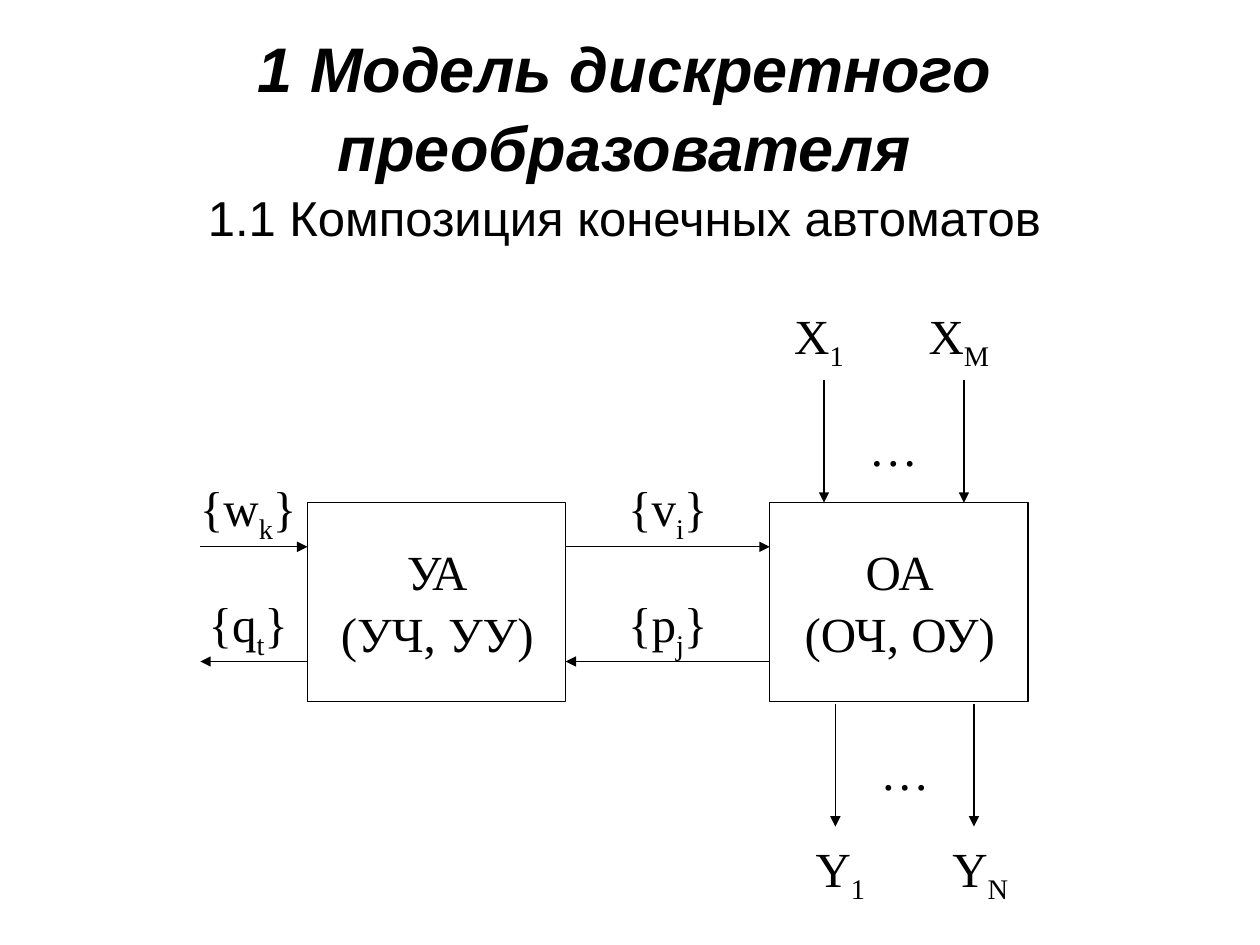
from pptx import Presentation, util as u
from pptx.dml.color import RGBColor
from pptx.enum import shapes, text
from pptx.oxml.ns import qn
from lxml import etree

SERIF = {"name": "Times New Roman", "size": u.Pt(28)}
HEADING = {"name": "Arial", "size": u.Pt(36), "bold": True, "italic": True}
SUBHEADING = {"name": "Arial", "size": u.Pt(28), "bold": False, "italic": False}
MARGINS = {"margin_left": u.Inches(0.1), "margin_right": u.Inches(0.1),
           "margin_top": u.Inches(0.05), "margin_bottom": u.Inches(0.05)}
BLACK = "000000"
BLOCK_TOP, BLOCK_W, BLOCK_H = 3.99, 2.05, 1.58
CONTROL_X, OPERATION_X = 2.44, 6.11
OUTER_X = 1.59
FORWARD_Y, BACK_Y = 4.34, 5.25
LABEL_W, LABEL_H = 1.28, 0.69
ARROW_LEN = 0.97


def color(value):
    """Return the colour for a hex string."""
    return RGBColor.from_string(value)


def apply(target, values):
    """Set each attribute in a dict of format values."""
    for name, value in values.items():
        setattr(target, name, value)


def add_run(p, content, font, subscript=False):
    """Add a black run, lowered when it is a subscript."""
    r = p.add_run()
    r.text = content
    apply(r.font, font)
    r.font.color.rgb = color(BLACK)
    if subscript:
        r.font._element.set("baseline", "-25000")


def center(p):
    """Centre a paragraph and set its line spacing."""
    apply(p, {"alignment": text.PP_ALIGN.CENTER, "line_spacing": 1.05})


def add_title(s, heading, subheading):
    """Fill and place the title placeholder."""
    sp = s.shapes.title
    apply(sp, {"left": u.Inches(0.08), "top": u.Inches(0.08),
               "width": u.Inches(9.75), "height": u.Inches(2)})
    tf = sp.text_frame
    apply(tf, {**MARGINS, "word_wrap": True, "auto_size": text.MSO_AUTO_SIZE.NONE,
               "vertical_anchor": text.MSO_ANCHOR.MIDDLE})
    p = tf.paragraphs[0]
    center(p)
    add_run(p, heading, HEADING)
    p.add_line_break()
    add_run(p, subheading, SUBHEADING)


def add_text(s, x, y, w, h, lines):
    """Add a centred text box; each line lists alternating base and subscript parts."""
    tf = s.shapes.add_textbox(*map(u.Inches, (x, y, w, h))).text_frame
    apply(tf, {**MARGINS, "word_wrap": True,
               "vertical_anchor": text.MSO_ANCHOR.MIDDLE})
    for i, parts in enumerate(lines):
        p = tf.add_paragraph() if i else tf.paragraphs[0]
        center(p)
        for j, part in enumerate(parts):
            add_run(p, part, SERIF, subscript=j % 2 == 1)


def add_label(s, x, y, *parts):
    """Add a signal label."""
    add_text(s, x, y, LABEL_W, LABEL_H, [parts])


def add_block(s, x, name, detail):
    """Add an automaton block with its two-line caption."""
    sp = s.shapes.add_shape(shapes.MSO_SHAPE.RECTANGLE,
                            *map(u.Inches, (x, BLOCK_TOP, BLOCK_W, BLOCK_H)))
    sp.shadow.inherit = False
    sp.fill.background()
    sp.line.color.rgb = color(BLACK)
    sp.line.width = u.Pt(0.75)
    add_text(s, x - 0.08, 4.22, 2.22, 1.09, [[name], [detail]])


def add_arrow(s, x1, y1, x2, y2):
    """Add a thin arrow pointing at its end."""
    line = s.shapes.add_connector(shapes.MSO_CONNECTOR.STRAIGHT,
                                  *map(u.Inches, (x1, y1, x2, y2)))
    line.line.color.rgb = color(BLACK)
    line.line.width = u.Pt(0.75)
    etree.SubElement(line.line._get_or_add_ln(), qn("a:tailEnd"), type="triangle")
    etree.SubElement(line._element.spPr, qn("a:effectLst"))


def add_exchange(s, left, right, label_x, forward, back):
    """Add a forward and a return arrow with their labels."""
    add_arrow(s, left, FORWARD_Y, right, FORWARD_Y)
    add_arrow(s, right, BACK_Y, left, BACK_Y)
    for y, (symbol, index) in ((3.7, forward), (4.62, back)):
        add_label(s, label_x, y, "{" + symbol, index, "}")


def add_bus(s, symbol, ends, arrow_y, dots_x, label_y):
    """Add a pair of vertical arrows with dots between them and end labels."""
    for arrow_x, label_x, index in ends:
        add_arrow(s, arrow_x, arrow_y, arrow_x, arrow_y + ARROW_LEN)
        add_label(s, label_x, label_y, symbol, index)
    add_label(s, dots_x, arrow_y + 0.17, "…")


def main():
    """Build the slide."""
    prs = Presentation()
    apply(prs, {"slide_width": u.Inches(10), "slide_height": u.Inches(7.5)})
    s = prs.slides.add_slide(prs.slide_layouts[5])
    add_title(s, "1 Модель дискретного преобразователя",
              "1.1 Композиция конечных автоматов")
    add_block(s, CONTROL_X, "УА", "(УЧ, УУ)")
    add_exchange(s, OUTER_X, CONTROL_X, 1.33, "wk", "qt")
    add_block(s, OPERATION_X, "ОА", "(ОЧ, ОУ)")
    add_exchange(s, CONTROL_X + BLOCK_W, OPERATION_X, 4.66, "vi", "pj")
    add_bus(s, "X", [(6.54, 5.86, "1"), (7.65, 6.97, "M")], 3.02, 6.45, 2.33)
    add_bus(s, "Y", [(6.63, 6.03, "1"), (7.73, 7.14, "N")], 5.59, 6.54, 6.56)
    prs.save("out.pptx")


if __name__ == "__main__":
    main()
